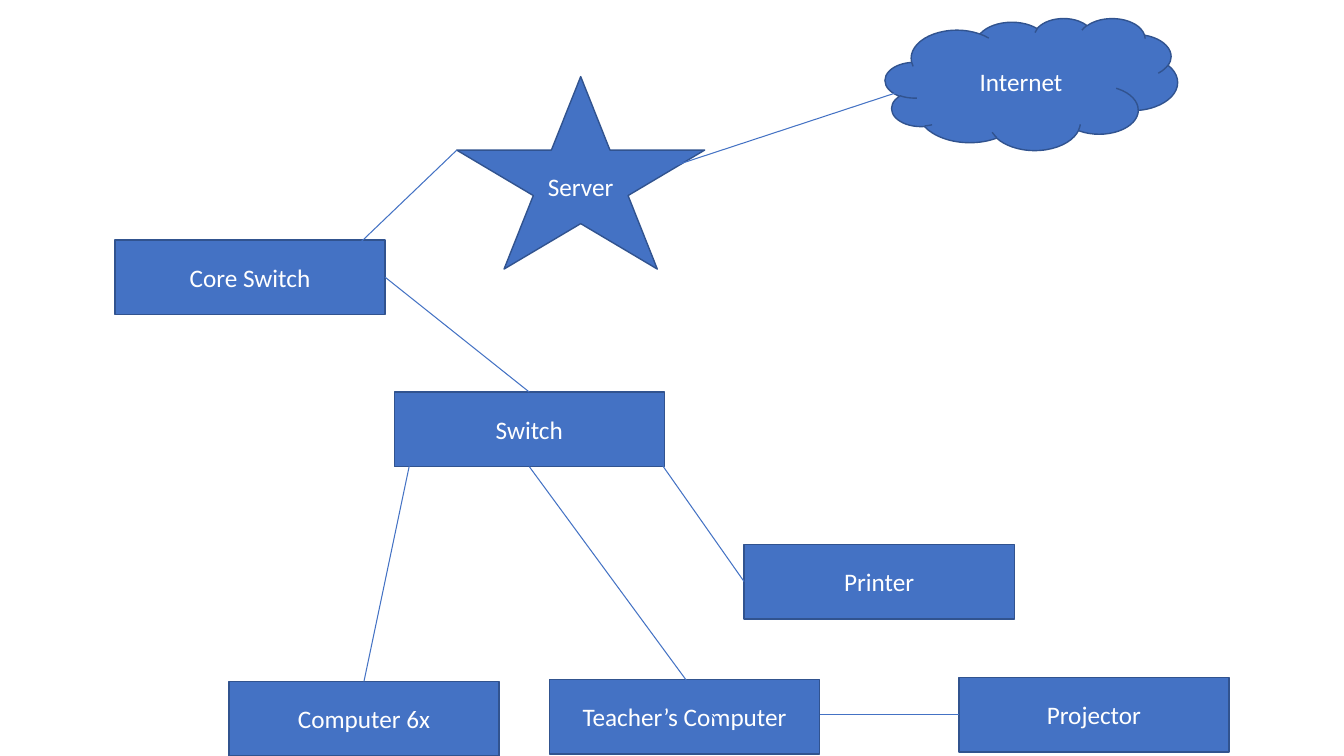
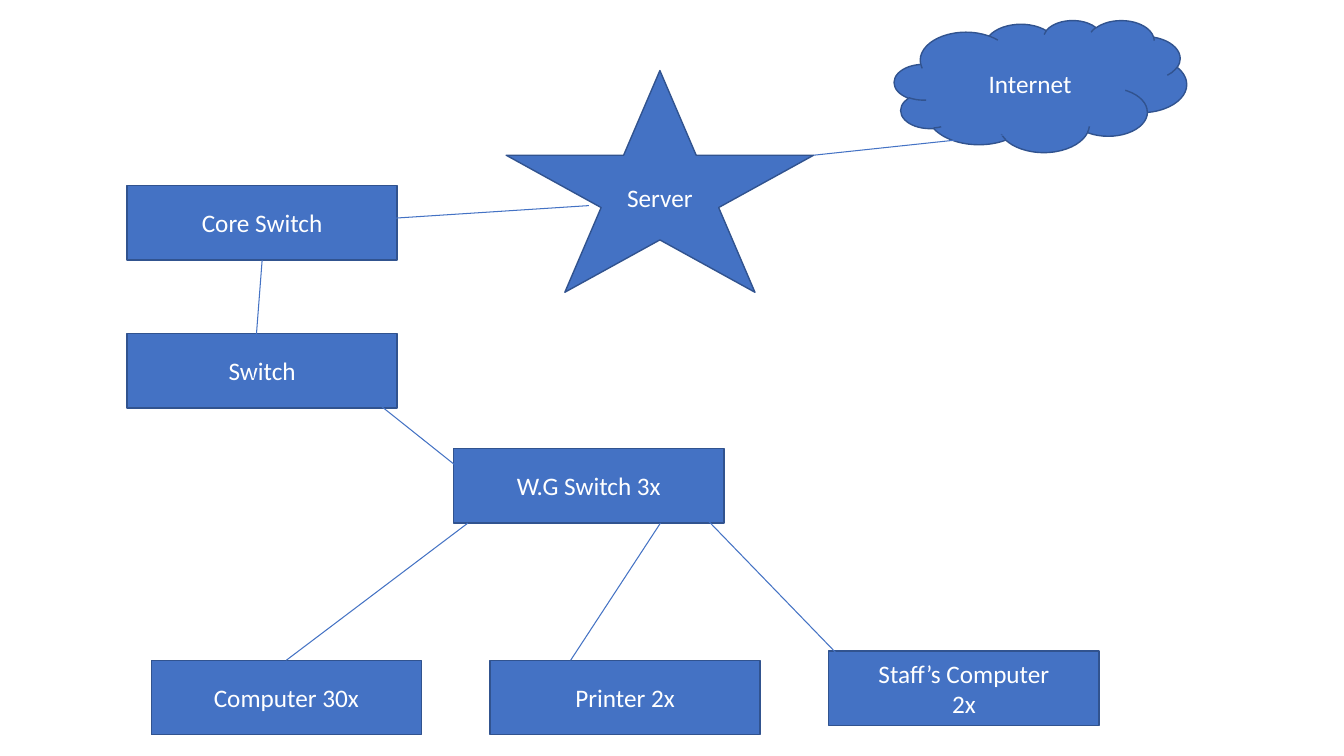
from lxml import etree
from pptx import Presentation
from pptx.dml.color import RGBColor
from pptx.enum.shapes import MSO_CONNECTOR, MSO_SHAPE
from pptx.enum.text import MSO_ANCHOR, PP_ALIGN
from pptx.oxml.ns import qn
from pptx.util import Pt

PX = 9144
SLIDE_BOX = (0, 0, 1333, 750)
BLANK_LAYOUT = 6

BLUE = RGBColor(0x44, 0x72, 0xC4)
DARK_BLUE = RGBColor(0x31, 0x53, 0x8F)
WHITE = RGBColor(0xFF, 0xFF, 0xFF)
FONT = "Calibri"

RECTANGLE = MSO_SHAPE.RECTANGLE
STAR = MSO_SHAPE.STAR_5_POINT
CLOUD = MSO_SHAPE.CLOUD
STRAIGHT = MSO_CONNECTOR.STRAIGHT
MIDDLE = MSO_ANCHOR.MIDDLE
CENTER = PP_ALIGN.CENTER
TOP, LEFT, BOTTOM, RIGHT = range(4)

DEVICE_SIZE = (268, 74)
CLOUD_SIZE = (290, 131)

CLASSROOM = {
    "devices": {
        "Computer 6x": (227, 676),
        "Switch": (391, 389),
        "Printer": (738, 540),
        "Teacher’s Computer": (545, 674),
        "Projector": (951, 672),
        "Core Switch": (114, 238),
    },
    "server": (453, 76, 246, 191),
    "internet": (878, 18),
    "links": [
        ((406, 462), (361, 676)),
        (("Core Switch", RIGHT), ("Switch", TOP)),
        ((620, 409), ("Printer", LEFT)),
        ((895, 90), (667, 165)),
        (("Switch", BOTTOM), (719, 727)),
        ((813, 709), ("Projector", LEFT)),
        ((453, 149), (357, 241)),
    ],
}

SCHOOL = {
    "devices": {
        "Computer 30x": (150, 655),
        "W.G Switch 3x": (450, 445),
        "Printer 2x": (486, 655),
        "Staff’s Computer\n2x": (822, 646),
        "Switch": (126, 331),
        "Core Switch": (126, 184),
    },
    "server": (502, 70, 305, 220),
    "internet": (887, 20),
    "links": [
        ((584, 204), (383, 217)),
        ((1032, 130), (807, 154)),
        ((464, 519), ("Computer 30x", TOP)),
        ((655, 519), (566, 655)),
        ((694, 508), (843, 662)),
        ((343, 375), (486, 489)),
        (("Core Switch", BOTTOM), (251, 375)),
    ],
}


def write_text(shape, text, size=18, color=WHITE, align=CENTER, anchor=MIDDLE):
    frame = shape.text_frame
    frame.word_wrap = True
    frame.vertical_anchor = anchor
    frame.text = text
    for paragraph in frame.paragraphs:
        paragraph.alignment = align
        paragraph.font.name = FONT
        paragraph.font.size = Pt(size)
        paragraph.font.color.rgb = color


def add_node(slide, kind, box, text):
    shape = slide.shapes.add_shape(kind, *(value * PX for value in box))
    shape.shadow.inherit = False
    shape.fill.solid()
    shape.fill.fore_color.rgb = BLUE
    shape.line.color.rgb = DARK_BLUE
    shape.line.width = Pt(1)
    write_text(shape, text)
    return shape


def add_link(slide, origin, start, end, nodes):
    left, top = origin
    connector = slide.shapes.add_connector(STRAIGHT, 0, 0, 0, 0)
    if start[0] in nodes:
        connector.begin_connect(nodes[start[0]], start[1])
    else:
        connector.begin_x = (left + start[0]) * PX
        connector.begin_y = (top + start[1]) * PX
    if end[0] in nodes:
        connector.end_connect(nodes[end[0]], end[1])
    else:
        connector.end_x = (left + end[0]) * PX
        connector.end_y = (top + end[1]) * PX
    connector.line.color.rgb = BLUE
    connector.line.width = Pt(0.75)
    etree.SubElement(connector._element.spPr, qn("a:effectLst"))


def draw_network(slide, box, network):
    left, top = box[:2]

    def place(kind, position, size, text):
        x, y = position
        return add_node(slide, kind, (left + x, top + y, *size), text)

    nodes = {
        name: place(RECTANGLE, position, DEVICE_SIZE, name)
        for name, position in network["devices"].items()
    }
    server = network["server"]
    place(STAR, server[:2], server[2:], "Server")
    place(CLOUD, network["internet"], CLOUD_SIZE, "Internet")
    for start, end in network["links"]:
        add_link(slide, (left, top), start, end, nodes)


def main():
    presentation = Presentation()
    presentation.slide_width = SLIDE_BOX[2] * PX
    presentation.slide_height = SLIDE_BOX[3] * PX
    for network in (CLASSROOM, SCHOOL):
        slide = presentation.slides.add_slide(presentation.slide_layouts[BLANK_LAYOUT])
        draw_network(slide, SLIDE_BOX, network)
    presentation.save("out.pptx")


if __name__ == "__main__":
    main()
